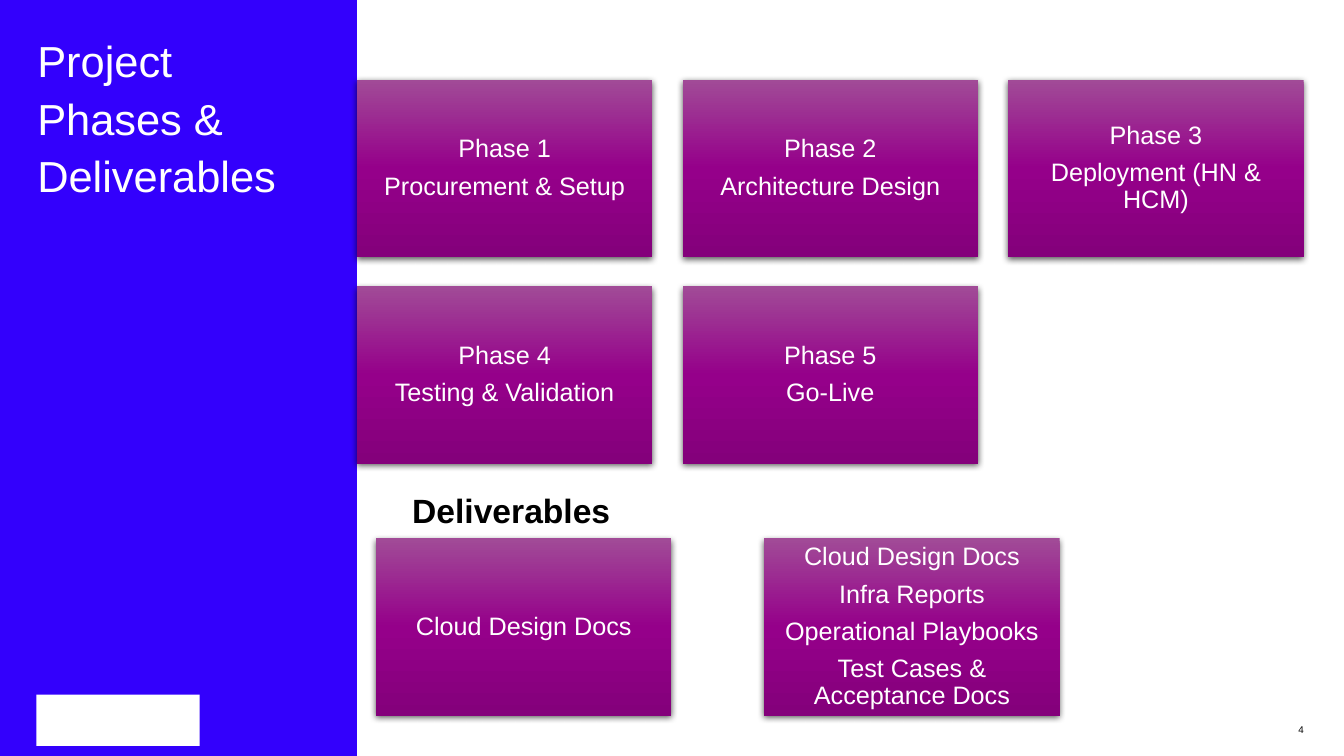
from dataclasses import dataclass

import pptx
import pptx.dml.color
import pptx.enum.shapes
import pptx.enum.text
import pptx.oxml.ns
import pptx.util
from lxml import etree

EMU_PER_PX = 9144  # 100 px to the inch
FONT = "Arial"
WHITE, BLACK, BLUE = "FFFFFF", "000000", "3300FC"
CARD_GRADIENT = ((0, "A14B97"), (50, "95008A"), (100, "84007B"))
CARD_W, CARD_H = 293, 176
GRID_LEFT, GRID_TOP, GRID_COLUMNS = 354, 79, 3
PITCH_X, PITCH_Y = 323, 205
DELIVERABLES_TOP = 534

ALIGN = pptx.enum.text.PP_ALIGN
qn = pptx.oxml.ns.qn


@dataclass
class Card:
    left: int
    top: int
    lines: tuple[str, ...]


@dataclass
class Label:
    left: int
    top: int
    width: int
    height: int
    text: str
    size: int
    color: str
    insets: tuple[int, int, int, int]
    align: ALIGN = ALIGN.LEFT
    bold: bool = False
    wrap: bool = True
    line_spacing: float = 1.0


PHASES = (
    ("Phase 1", "Procurement & Setup"),
    ("Phase 2", "Architecture Design"),
    ("Phase 3", "Deployment (HN & HCM)"),
    ("Phase 4", "Testing & Validation"),
    ("Phase 5", "Go-Live"),
)
PHASE_CARDS = [
    Card(GRID_LEFT + i % GRID_COLUMNS * PITCH_X, GRID_TOP + i // GRID_COLUMNS * PITCH_Y, lines)
    for i, lines in enumerate(PHASES)
]
DELIVERABLE_CARDS = [
    Card(373, DELIVERABLES_TOP, ("Cloud Design Docs",)),
    Card(758, DELIVERABLES_TOP, ("Cloud Design Docs", "Infra Reports", "Operational Playbooks",
                                 "Test Cases & Acceptance Docs")),
]
LABELS = (
    Label(1225, 710, 68, 26, "4", 7, BLACK, (0, 8, 0, 5), align=ALIGN.RIGHT),
    Label(37, 29, 287, 167, "Project Phases & Deliverables", 31, WHITE, (0, 0, 0, 0),
          line_spacing=1.1),
    Label(399, 481, 226, 50, "Deliverables", 24, BLACK, (10, 5, 10, 5), bold=True, wrap=False),
)


def px(n: int) -> pptx.util.Emu:
    return pptx.util.Emu(n * EMU_PER_PX)


def rgb(color: str) -> pptx.dml.color.RGBColor:
    return pptx.dml.color.RGBColor.from_string(color)


def set_insets(tf, insets: tuple[int, int, int, int]) -> None:
    tf.margin_left, tf.margin_top, tf.margin_right, tf.margin_bottom = map(px, insets)


def style_paragraph(p, size: int, color: str, align: ALIGN, line_spacing: float) -> None:
    p.alignment = align
    p.line_spacing = line_spacing
    p.font.name = FONT
    p.font.size = pptx.util.Pt(size)
    p.font.color.rgb = rgb(color)


def add_rectangle(slide, left: int, top: int, width: int, height: int, color: str):
    sp = slide.shapes.add_shape(pptx.enum.shapes.MSO_SHAPE.RECTANGLE,
                                px(left), px(top), px(width), px(height))
    sp.shadow.inherit = False
    sp.fill.solid()
    sp.fill.fore_color.rgb = rgb(color)
    sp.line.fill.background()
    return sp


def apply_card_gradient(sp) -> None:
    sp.fill.gradient()
    sp.fill.gradient_angle = 270
    stops = sp.element.spPr.find(".//" + qn("a:gsLst"))
    for stop in list(stops):
        stops.remove(stop)
    for percent, color in CARD_GRADIENT:
        stop = etree.SubElement(stops, qn("a:gs"), pos=str(percent * 1000))
        etree.SubElement(stop, qn("a:srgbClr"), val=color)


def apply_card_shadow(sp) -> None:
    effects = sp.element.spPr.find(qn("a:effectLst"))
    shadow = etree.SubElement(effects, qn("a:outerShdw"), blurRad=str(pptx.util.Pt(4.5)),
                              dist=str(pptx.util.Pt(1.5)), dir="5400000", algn="ctr",
                              rotWithShape="0")
    color = etree.SubElement(shadow, qn("a:srgbClr"), val=BLACK)
    etree.SubElement(color, qn("a:alpha"), val="63000")


def add_card(slide, card: Card) -> None:
    sp = add_rectangle(slide, card.left, card.top, CARD_W, CARD_H, CARD_GRADIENT[0][1])
    apply_card_gradient(sp)
    apply_card_shadow(sp)
    tf = sp.text_frame
    tf.word_wrap = True
    tf.vertical_anchor = pptx.enum.text.MSO_ANCHOR.MIDDLE
    set_insets(tf, (7, 7, 7, 7))
    tf.text = "\n".join(card.lines)
    for p in tf.paragraphs:
        style_paragraph(p, 18, WHITE, ALIGN.CENTER, 0.9)
        p.space_after = pptx.util.Pt(7)


def add_label(slide, label: Label) -> None:
    sp = slide.shapes.add_textbox(px(label.left), px(label.top), px(label.width), px(label.height))
    tf = sp.text_frame
    tf.word_wrap = label.wrap
    set_insets(tf, label.insets)
    tf.text = label.text
    p = tf.paragraphs[0]
    style_paragraph(p, label.size, label.color, label.align, label.line_spacing)
    p.font.bold = label.bold


def main() -> None:
    prs = pptx.Presentation()
    prs.slide_width, prs.slide_height = px(1333), px(750)
    slide = prs.slides.add_slide(prs.slide_layouts[6])
    add_rectangle(slide, 0, 0, 354, 750, BLUE)
    add_rectangle(slide, 36, 689, 162, 51, WHITE)
    for card in PHASE_CARDS + DELIVERABLE_CARDS:
        add_card(slide, card)
    for label in LABELS:
        add_label(slide, label)
    prs.save("out.pptx")


if __name__ == "__main__":
    main()
